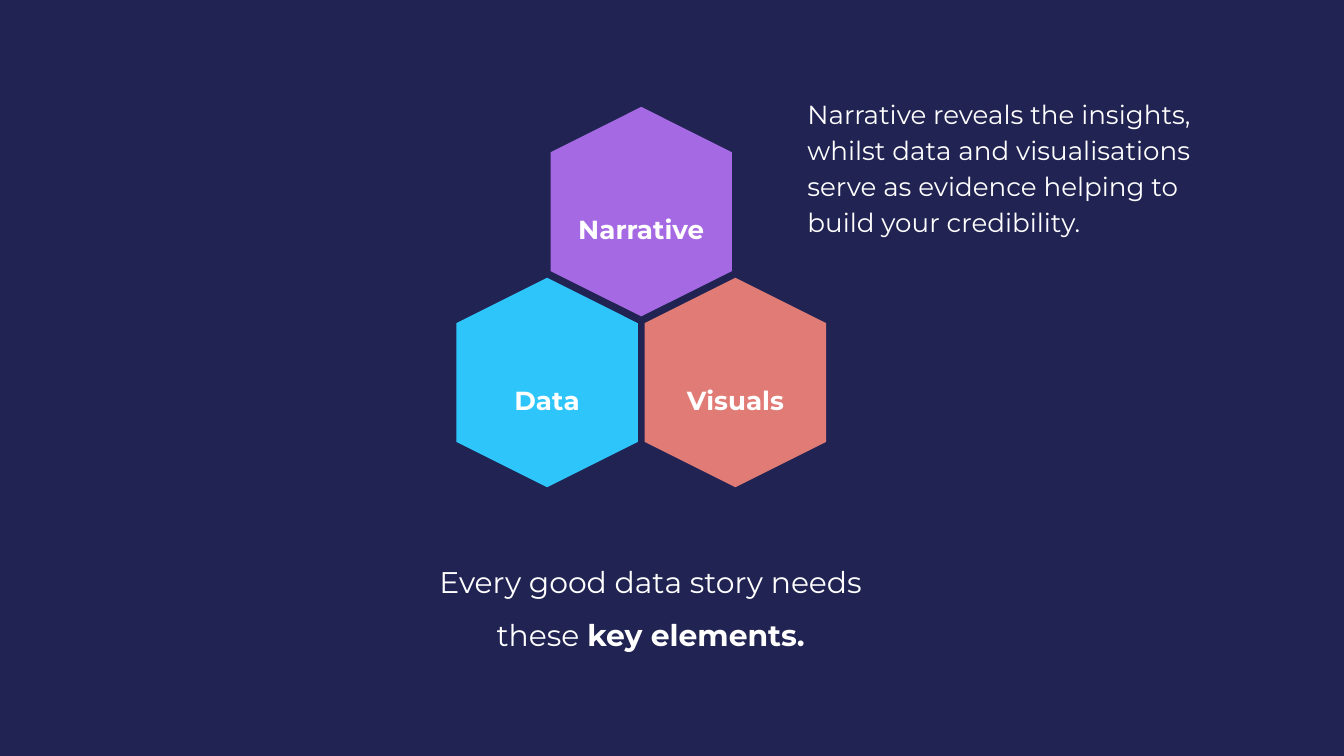
from pptx import Presentation
from pptx import util as u
from pptx.dml.color import RGBColor
from pptx.enum import shapes, text

FONT = "Montserrat"
WHITE = "FFFFFF"
NAVY = "212353"
INSET = 0.25
HEXAGON_LENGTH, HEXAGON_WIDTH = 3.96, 3.43
LABEL_WIDTH, LABEL_HEIGHT, LABEL_DROP = 3.66, 1.8, 0.18
CENTER_X, TOP_Y = 12.12, 4.0
STEP_X, STEP_Y = 1.78, 3.23
ELEMENTS = [
    ("Data", "2DC5FA", -1, 1),
    ("Visuals", "E17B75", 1, 1),
    ("Narrative", "A56AE3", 0, 0),
]


def color(value):
    return RGBColor.from_string(value)


def add_filled_shape(parent, kind, left, top, width, height, fill):
    shape = parent.add_shape(kind, u.Cm(left), u.Cm(top), u.Cm(width), u.Cm(height))
    shape.shadow.inherit = False
    shape.fill.solid()
    shape.fill.fore_color.rgb = color(fill)
    shape.line.fill.background()
    return shape


def add_text(parent, left, top, width, height, runs, size, spacing,
             align=text.PP_ALIGN.CENTER, anchor=text.MSO_ANCHOR.TOP):
    box = parent.add_textbox(u.Cm(left), u.Cm(top), u.Cm(width), u.Cm(height))
    frame = box.text_frame
    frame.word_wrap = True
    frame.vertical_anchor = anchor
    frame.margin_left = frame.margin_right = u.Cm(INSET)
    frame.margin_top = frame.margin_bottom = u.Cm(INSET)
    paragraph = frame.paragraphs[0]
    paragraph.alignment = align
    paragraph.line_spacing = spacing
    for content, bold in runs:
        run = paragraph.add_run()
        run.text = content
        run.font.name = FONT
        run.font.size = u.Pt(size)
        run.font.bold = bold
        run.font.color.rgb = color(WHITE)


def add_hexagon(parent, label, fill, column, row):
    x = CENTER_X + column * STEP_X
    y = TOP_Y + row * STEP_Y
    hexagon = add_filled_shape(
        parent, shapes.MSO_SHAPE.HEXAGON, x - HEXAGON_LENGTH / 2,
        y - HEXAGON_WIDTH / 2, HEXAGON_LENGTH, HEXAGON_WIDTH, fill)
    hexagon.adjustments[0] = 0.25
    hexagon.rotation = 270
    add_text(parent, x - LABEL_WIDTH / 2, y + LABEL_DROP - LABEL_HEIGHT / 2,
             LABEL_WIDTH, LABEL_HEIGHT, [(label, True)], 14, 1.5,
             anchor=text.MSO_ANCHOR.MIDDLE)


def main():
    presentation = Presentation()
    presentation.slide_width = u.Cm(25.4)
    presentation.slide_height = u.Cm(14.29)
    slide = presentation.slides.add_slide(presentation.slide_layouts[6])
    add_filled_shape(slide.shapes, shapes.MSO_SHAPE.RECTANGLE, 0, 0, 25.4, 14.29, NAVY)
    add_text(slide.shapes, 7.32, 10.06, 9.96, 1.22,
             [("Every good data story needs these ", False), ("key elements.", True)],
             16, 1.5)
    group = slide.shapes.add_group_shape()
    for element in ELEMENTS:
        add_hexagon(group.shapes, *element)
    add_text(slide.shapes, 15.01, 1.52, 7.95, 3.15,
             [("Narrative reveals the insights, whilst data and visualisations "
               "serve as evidence helping to build your credibility.", False)],
             14, 1.15, align=text.PP_ALIGN.LEFT)
    presentation.save("out.pptx")


if __name__ == "__main__":
    main()
